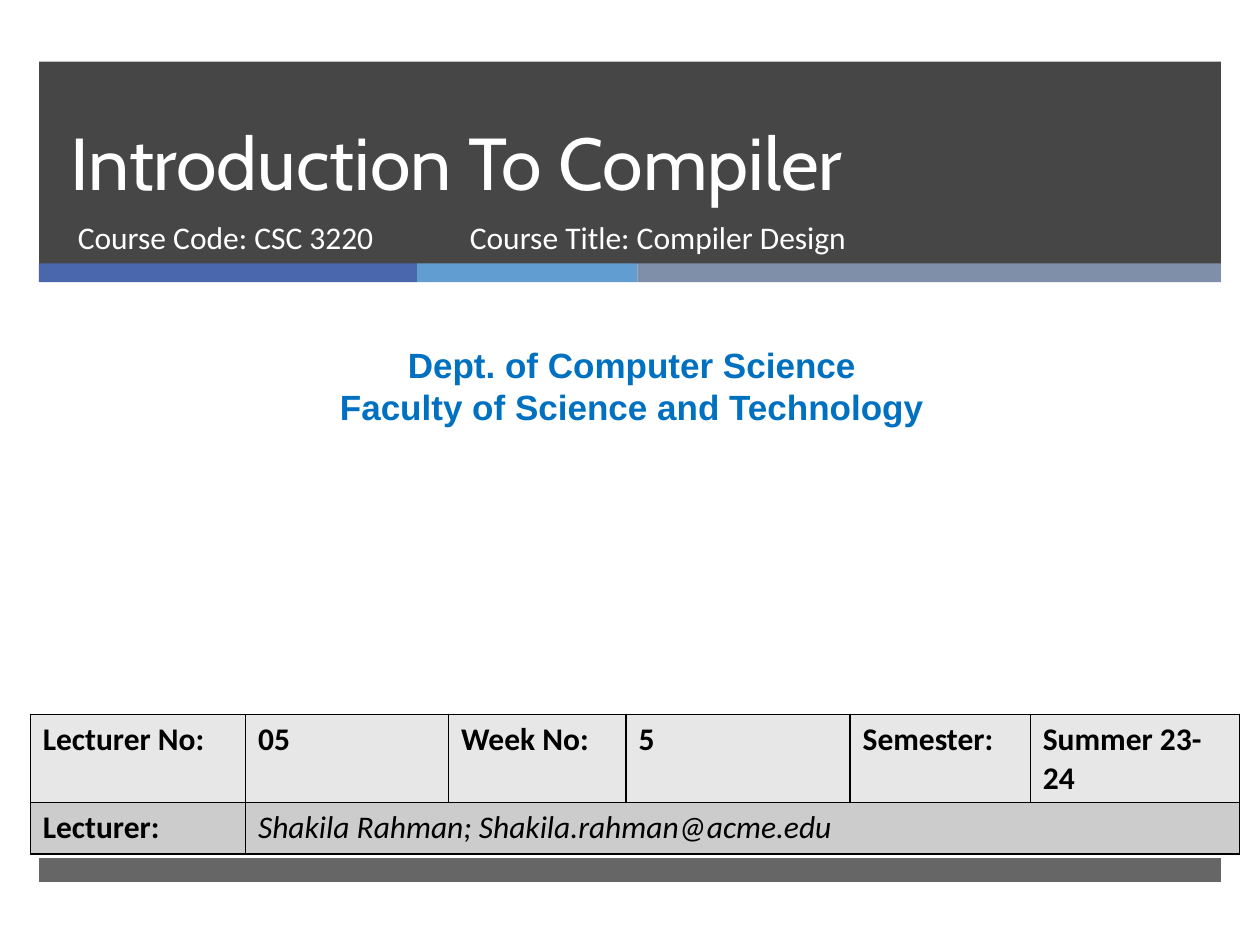
from itertools import accumulate

from lxml.etree import SubElement
from pptx import Presentation
from pptx.dml.color import RGBColor
from pptx.enum.shapes import MSO_SHAPE
from pptx.enum.text import MSO_ANCHOR, MSO_AUTO_SIZE, PP_ALIGN
from pptx.oxml.ns import qn
from pptx.util import Pt

WHITE = RGBColor(0xFF, 0xFF, 0xFF)
BLACK = RGBColor(0x00, 0x00, 0x00)
CHARCOAL = RGBColor(0x26, 0x26, 0x26)
INDIGO = RGBColor(0x4A, 0x66, 0xAC)
SKY = RGBColor(0x62, 0x9D, 0xD1)
SLATE = RGBColor(0x7F, 0x8F, 0xA9)
DEPT_BLUE = RGBColor(0x00, 0x70, 0xC0)
LIGHT_GREY = RGBColor(0xE7, 0xE7, 0xE7)
MID_GREY = RGBColor(0xCC, 0xCC, 0xCC)

BAND_LEFT, BAND_WIDTH = 22.3, 675.4


class SlideBuilder:
    body_font = "Calibri"
    body_size = 18

    def __init__(self, slide):
        self.slide = slide

    def add_text_run(self, paragraph, text, color, font=None, size=None,
                     bold=False, italic=False):
        run = paragraph.add_run()
        run.text = text
        run.font.name = font or self.body_font
        run.font.size = Pt(size or self.body_size)
        run.font.bold = bold
        run.font.italic = italic
        run.font.color.rgb = color

    def bar(self, left, top, width, height, color, opacity=100):
        bar = self.slide.shapes.add_shape(
            MSO_SHAPE.RECTANGLE, Pt(left), Pt(top), Pt(width), Pt(height))
        bar.shadow.inherit = False
        bar.fill.solid()
        bar.fill.fore_color.rgb = color
        bar.line.fill.background()
        if opacity < 100:
            rgb = bar.element.spPr.find(qn("a:solidFill")).find(qn("a:srgbClr"))
            SubElement(rgb, qn("a:alpha"), val=str(opacity * 1000))

    def title(self, left, top, width, height, text):
        title = self.slide.shapes.title
        title.left, title.top, title.width, title.height = map(Pt, (left, top, width, height))
        frame = title.text_frame
        frame.word_wrap = True
        frame.auto_size = MSO_AUTO_SIZE.NONE
        frame.vertical_anchor = MSO_ANCHOR.BOTTOM
        heading = frame.paragraphs[0]
        heading.alignment = PP_ALIGN.LEFT
        heading.line_spacing = Pt(46)
        self.add_text_run(heading, text, WHITE, "Cabin", 42)
        # Bring the title in front of the band
        title.element.getparent().append(title.element)

    def text(self, left, top, width, height, lines, color, align=PP_ALIGN.LEFT, **style):
        frame = self.slide.shapes.add_textbox(
            Pt(left), Pt(top), Pt(width), Pt(height)).text_frame
        frame.word_wrap = True
        for index, line in enumerate(lines):
            paragraph = frame.add_paragraph() if index else frame.paragraphs[0]
            paragraph.alignment = align
            self.add_text_run(paragraph, line, color, **style)

    def border(self, cell):
        properties = cell._tc.get_or_add_tcPr()
        for side in ("lnL", "lnR", "lnT", "lnB"):
            line = SubElement(properties, qn(f"a:{side}"), w=str(int(Pt(1))))
            SubElement(SubElement(line, qn("a:solidFill")), qn("a:srgbClr"), val=str(BLACK))

    def table(self, left, top, widths, row_height, rows, fills):
        table = self.slide.shapes.add_table(
            len(rows), len(widths), Pt(left), Pt(top),
            Pt(sum(widths)), Pt(row_height * len(rows))).table
        table.first_row = table.horz_banding = False
        for column, width in zip(table.columns, widths):
            column.width = Pt(width)
        for row, texts, fill in zip(table.rows, rows, fills):
            row.height = Pt(row_height)
            for cell in row.cells:
                self.border(cell)
                cell.fill.solid()
                cell.fill.fore_color.rgb = fill
            for cell, (text, style) in zip(row.cells, texts):
                self.add_text_run(cell.text_frame.paragraphs[0], text, BLACK, **style)
        return table


def main():
    deck = Presentation()
    deck.slide_width, deck.slide_height = Pt(720), Pt(540)
    builder = SlideBuilder(deck.slides.add_slide(deck.slide_layouts[5]))

    # Title band, accent strip and footer bar
    builder.bar(BAND_LEFT, 35.3, BAND_WIDTH, 115.7, CHARCOAL, opacity=85)
    accent_widths = [216, 126, 333.4]
    accent_lefts = accumulate(accent_widths, initial=BAND_LEFT)
    for left, width, color in zip(accent_lefts, accent_widths, (INDIGO, SKY, SLATE)):
        builder.bar(left, 150.5, width, 10.8, color)
    builder.bar(BAND_LEFT, 490.3, BAND_WIDTH, 13.7, CHARCOAL, opacity=70)

    # Title and course details
    builder.title(33.1, 35.3, 614.9, 85.7, "Introduction To Compiler")
    builder.text(37.4, 121, 219.6, 38.2, ["Course Code: CSC 3220"], WHITE)
    builder.text(261.4, 121, 327.6, 38.2, ["Course Title: Compiler Design"], WHITE)

    # Department
    builder.text(5.8, 193, 710.6, 55.4,
                 ["Dept. of Computer Science", "Faculty of Science and Technology"],
                 DEPT_BLUE, PP_ALIGN.CENTER, font="Arial", size=20, bold=True)

    # Lecture details
    bold, italic = {"bold": True}, {"italic": True}
    lecture = ["Lecturer No:", "05", "Week No:", "5", "Semester:", "Summer 23-24"]
    lecturer = [("Lecturer:", bold), ("Shakila Rahman; Shakila.rahman@acme.edu", italic)]
    details = builder.table(17.3, 408.2, [123, 116, 101.5, 128, 103, 119.6], 29.5,
                            [[(text, bold) for text in lecture], lecturer],
                            [LIGHT_GREY, MID_GREY])
    details.cell(1, 1).merge(details.cell(1, 5))

    deck.save("out.pptx")


if __name__ == "__main__":
    main()
